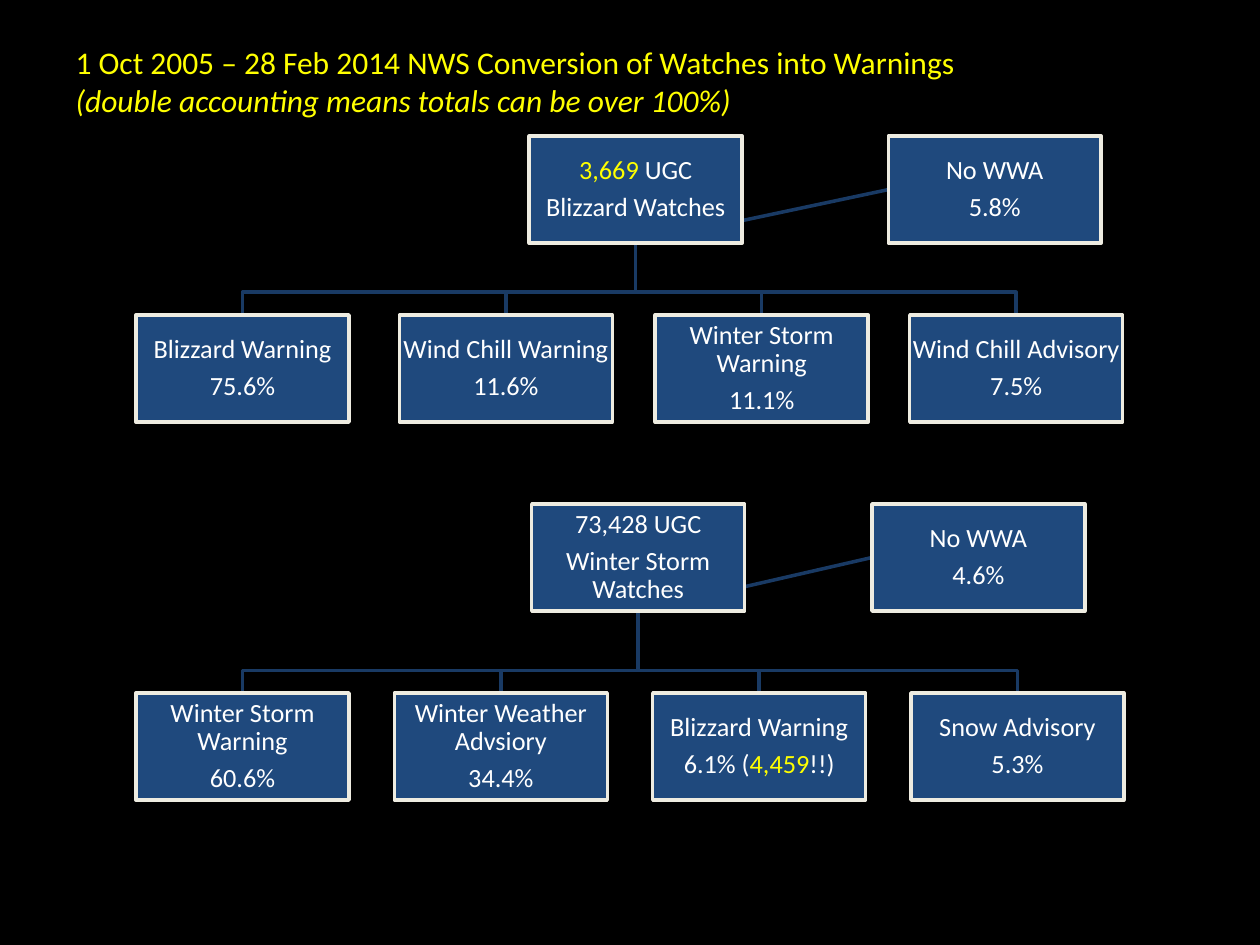
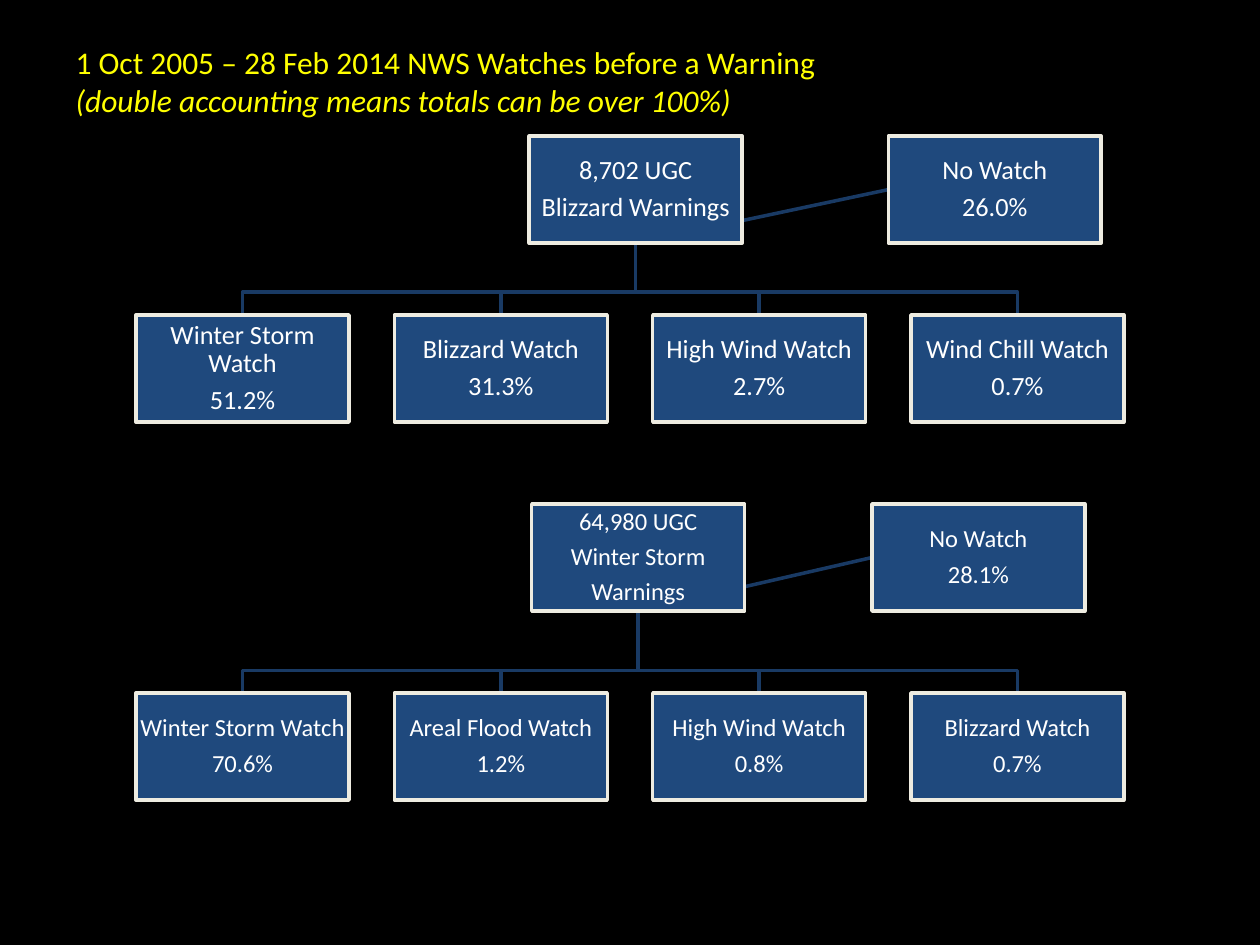
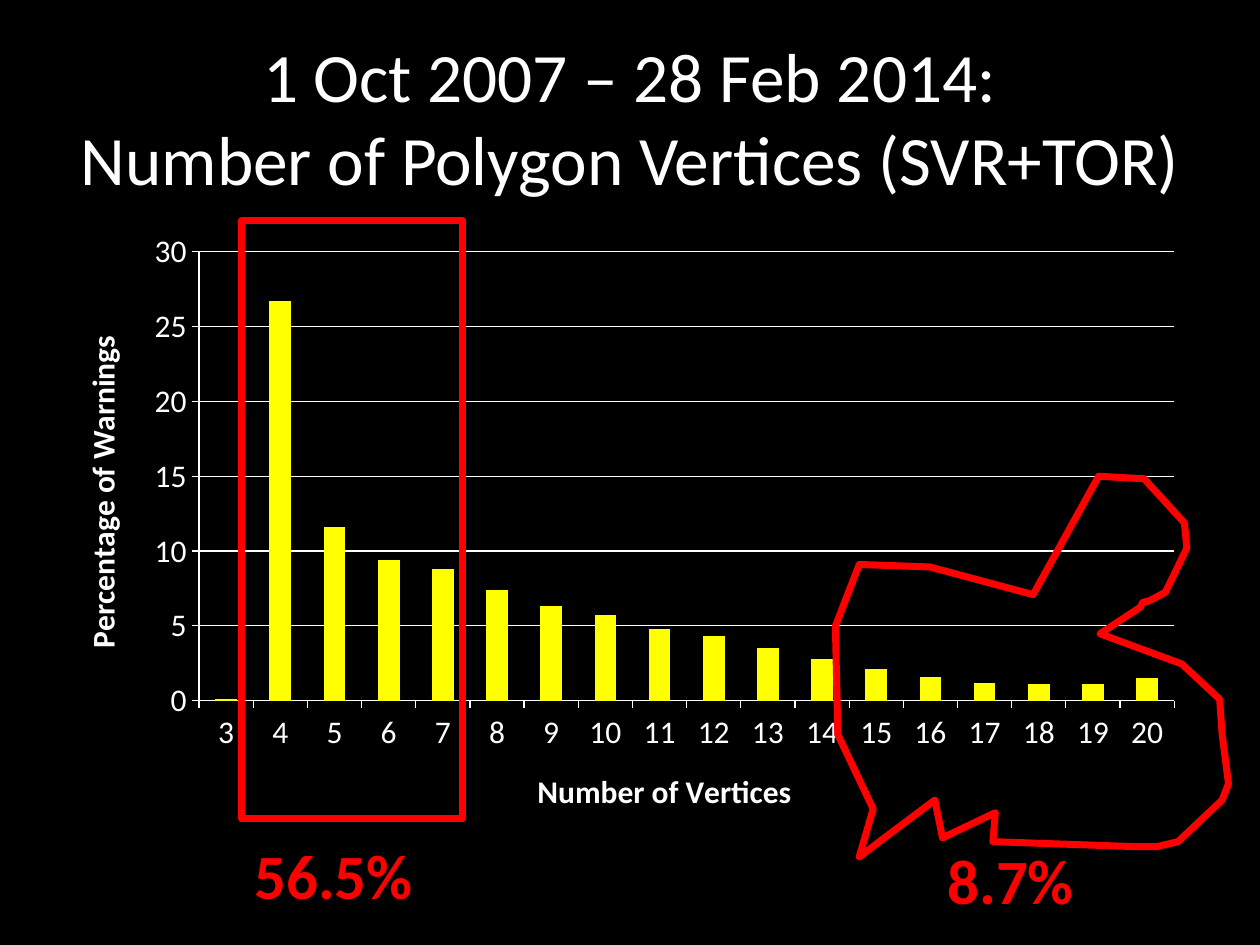
from dataclasses import dataclass

from lxml import etree
from pptx import Presentation
from pptx.chart.data import CategoryChartData
from pptx.dml.color import RGBColor
from pptx.enum.chart import XL_CHART_TYPE, XL_TICK_MARK
from pptx.enum.shapes import MSO_CONNECTOR, MSO_SHAPE
from pptx.enum.text import MSO_ANCHOR, MSO_AUTO_SIZE, PP_ALIGN
from pptx.oxml import parse_xml
from pptx.oxml.ns import nsdecls, qn
from pptx.util import Inches, Pt

COLUMNS = XL_CHART_TYPE.COLUMN_CLUSTERED
TICK_OUTSIDE = XL_TICK_MARK.OUTSIDE
STRAIGHT = MSO_CONNECTOR.STRAIGHT
RECTANGLE = MSO_SHAPE.RECTANGLE
TOP, MIDDLE = MSO_ANCHOR.TOP, MSO_ANCHOR.MIDDLE
LEFT, CENTER = PP_ALIGN.LEFT, PP_ALIGN.CENTER
NO_AUTOFIT = MSO_AUTO_SIZE.NONE


@dataclass(frozen=True)
class Theme:
    font: str = "Calibri"
    background: RGBColor = RGBColor(0, 0, 0)
    text: RGBColor = RGBColor(255, 255, 255)
    accent: RGBColor = RGBColor(255, 255, 0)
    box: RGBColor = RGBColor(0x1F, 0x49, 0x7D)
    border: RGBColor = RGBColor(0xEE, 0xEC, 0xE1)
    branch: RGBColor = RGBColor(0x19, 0x3A, 0x64)
    callout: RGBColor = RGBColor(255, 0, 0)
    title_size: float = 39.6
    heading_size: float = 18
    chart_size: float = 18
    callout_size: float = 36
    thin: float = 2
    thick: float = 4


THEME = Theme()


def write(frame, paragraphs, size, color=THEME.text, bold=False, align=LEFT,
          anchor=TOP, inset=None, line_spacing=None, space_after=0):
    """Fill a text frame; words between asterisks take the accent colour."""
    frame.word_wrap = True
    frame.auto_size = NO_AUTOFIT
    frame.vertical_anchor = anchor
    if inset is not None:
        frame.margin_left = frame.margin_right = Inches(inset)
        frame.margin_top = frame.margin_bottom = Inches(inset)
    for index, text in enumerate(paragraphs):
        paragraph = frame.add_paragraph() if index else frame.paragraphs[0]
        paragraph.alignment = align
        paragraph.line_spacing = line_spacing
        paragraph.space_after = Pt(space_after)
        for part, words in enumerate(text.split("*")):
            if words:
                run = paragraph.add_run()
                run.text = words
                run.font.name = THEME.font
                run.font.size = Pt(size)
                run.font.bold = bold
                run.font.color.rgb = THEME.accent if part % 2 else color


def outline(shape, color, width, fill=None):
    shape.shadow.inherit = False
    if fill is None:
        shape.fill.background()
    else:
        shape.fill.solid()
        shape.fill.fore_color.rgb = fill
    shape.line.color.rgb = color
    shape.line.width = Pt(width)


prs = Presentation()
prs.slide_width, prs.slide_height = Inches(10), Inches(7.5)
prs.slide_master.background.fill.solid()
prs.slide_master.background.fill.fore_color.rgb = THEME.background
title_only = prs.slide_layouts[5]

# Watch and warning trees: root and side boxes, then the row of outcomes
BOX_WIDTH, BOX_HEIGHT = 1.69, 0.85
BUS_RISE = 0.18
EVEN_ROW = [1.08 + 2.05 * i for i in range(4)]
UPPER = dict(root_left=4.2, side_left=7.05, top=1.08, row_top=2.5, size=15)
LOWER = dict(root_left=4.22, side_left=6.92, top=4, row_top=5.5, size=15)

tree_slides = [
    ("1 Oct 2005 – 28 Feb 2014 NWS Conversion of Watches into Warnings", [
        dict(UPPER, lefts=[1.08, 3.17, 5.2, 7.22],
             root=["*3,669* UGC", "Blizzard Watches"],
             side=["No WWA", "5.8%"],
             outcomes=[["Blizzard Warning", "75.6%"],
                       ["Wind Chill Warning", "11.6%"],
                       ["Winter Storm Warning", "11.1%"],
                       ["Wind Chill Advisory", "7.5%"]]),
        dict(LOWER, lefts=EVEN_ROW,
             root=["73,428 UGC", "Winter Storm Watches"],
             side=["No WWA", "4.6%"],
             outcomes=[["Winter Storm Warning", "60.6%"],
                       ["Winter Weather Advsiory", "34.4%"],
                       ["Blizzard Warning", "6.1% (*4,459*!!)"],
                       ["Snow Advisory", "5.3%"]]),
    ]),
    ("1 Oct 2005 – 28 Feb 2014 NWS Watches before a Warning", [
        dict(UPPER, lefts=EVEN_ROW,
             root=["8,702 UGC", "Blizzard Warnings"],
             side=["No Watch", "26.0%"],
             outcomes=[["Winter Storm Watch", "51.2%"],
                       ["Blizzard Watch", "31.3%"],
                       ["High Wind Watch", "2.7%"],
                       ["Wind Chill Watch", "0.7%"]]),
        dict(LOWER, lefts=EVEN_ROW, size=14,
             root=["64,980 UGC", "Winter Storm", "Warnings"],
             side=["No Watch", "28.1%"],
             outcomes=[["Winter Storm Watch", "70.6%"],
                       ["Areal Flood Watch", "1.2%"],
                       ["High Wind Watch", "0.8%"],
                       ["Blizzard Watch", "0.7%"]]),
    ]),
]

for heading, trees in tree_slides:
    slide = prs.slides.add_slide(title_only)
    title = slide.shapes.title
    title.left, title.top = Inches(0.5), Inches(0.29)
    title.width, title.height = Inches(9), Inches(0.71)
    write(title.text_frame,
          [heading, "(double accounting means totals can be over 100%)"],
          THEME.heading_size, color=THEME.accent)
    title.text_frame.paragraphs[1].runs[0].font.italic = True

    for tree in trees:
        trunk = Inches(tree["root_left"] + BOX_WIDTH / 2)
        root_bottom = Inches(tree["top"] + BOX_HEIGHT)
        row_top = Inches(tree["row_top"])
        bus = row_top - Inches(BUS_RISE)

        # Lines come first so that the boxes cover them
        side_link = slide.shapes.add_connector(
            STRAIGHT, trunk, root_bottom, Inches(tree["side_left"]), bus)
        side_link.line.color.rgb = THEME.branch
        side_link.line.width = Pt(THEME.thin)
        etree.SubElement(side_link._element.spPr, qn("a:effectLst"))
        for left in tree["lefts"]:
            middle = Inches(left + BOX_WIDTH / 2)
            path = slide.shapes.build_freeform(trunk, root_bottom)
            path.add_line_segments(
                [(trunk, bus), (middle, bus), (middle, row_top)], close=False)
            outline(path.convert_to_shape(), THEME.branch, THEME.thin)

        boxes = [(tree["root_left"], tree["top"], tree["root"]),
                 (tree["side_left"], tree["top"], tree["side"])]
        boxes += [(left, tree["row_top"], lines)
                  for left, lines in zip(tree["lefts"], tree["outcomes"])]
        drawn = []
        for left, top, lines in boxes:
            box = slide.shapes.add_shape(
                RECTANGLE, Inches(left), Inches(top),
                Inches(BOX_WIDTH), Inches(BOX_HEIGHT))
            outline(box, THEME.border, THEME.thin, fill=THEME.box)
            write(box.text_frame, lines, tree["size"], align=CENTER,
                  anchor=MIDDLE, inset=0.01, line_spacing=0.9,
                  space_after=0.35 * tree["size"])
            drawn.append(box)
        side_link.begin_connect(drawn[0], 2)
        side_link.end_connect(drawn[1], 1)

# Polygon vertices
slide = prs.slides.add_slide(title_only)
title = slide.shapes.title
title.left, title.top = Inches(0.25), Inches(0.3)
title.width, title.height = Inches(9.5), Inches(1.25)
write(title.text_frame,
      ["1 Oct 2007 – 28 Feb 2014:", "Number of Polygon Vertices (SVR+TOR)"],
      THEME.title_size, align=CENTER, anchor=MIDDLE)

vertex_shares = CategoryChartData()
vertex_shares.categories = [str(count) for count in range(3, 21)]
vertex_shares.add_series("Series 1", [
    0.1, 26.7, 11.6, 9.4, 8.8, 7.4, 6.3, 5.7, 4.8,
    4.3, 3.5, 2.8, 2.1, 1.6, 1.2, 1.1, 1.1, 1.5])
chart = slide.shapes.add_chart(
    COLUMNS, Inches(0.5), Inches(1.75), Inches(9), Inches(4.95),
    vertex_shares).chart
chart.has_legend = False
chart.has_title = False
chart.font.name = THEME.font
chart.font.size = Pt(THEME.chart_size)
chart.font.color.rgb = THEME.text

plot = chart.plots[0]
plot.gap_width = 150
plot.vary_by_categories = False
bars = plot.series[0].format.fill
bars.solid()
bars.fore_color.rgb = THEME.accent

for axis, name in ((chart.category_axis, "Number of Vertices"),
                   (chart.value_axis, "Percentage of Warnings")):
    axis.major_tick_mark = TICK_OUTSIDE
    axis.format.line.color.rgb = THEME.text
    axis.format.line.width = Pt(0.75)
    label = axis.axis_title.text_frame.paragraphs[0].add_run()
    label.text = name
    label.font.name = THEME.font
    label.font.size = Pt(THEME.chart_size)
    label.font.bold = True
    label.font.color.rgb = THEME.text
percent_axis = chart.value_axis
percent_axis.minimum_scale, percent_axis.maximum_scale = 0, 30
percent_axis.major_unit = 5
percent_axis.has_major_gridlines = True
percent_axis.major_gridlines.format.line.color.rgb = THEME.text
percent_axis.major_gridlines.format.line.width = Pt(0.75)

# Fix the inner plot area as fractions of the chart
plot_area = chart._chartSpace.chart.plotArea
for automatic in plot_area.findall(qn("c:layout")):
    plot_area.remove(automatic)
plot_area.insert(0, parse_xml(
    f'<c:layout {nsdecls("c")}><c:manualLayout><c:layoutTarget val="inner"/>'
    '<c:xMode val="edge"/><c:yMode val="edge"/><c:x val="0.12"/>'
    '<c:y val="0.05"/><c:w val="0.86"/><c:h val="0.72"/>'
    '</c:manualLayout></c:layout>'))

few_vertices = slide.shapes.add_shape(
    RECTANGLE, Inches(1.92), Inches(1.75), Inches(1.75), Inches(4.75))
outline(few_vertices, THEME.callout, THEME.thick)

many_vertices = [
    (6.93, 6.42), (6.65, 5.83), (6.63, 4.97), (6.82, 4.48), (7.38, 4.5),
    (8.2, 4.72), (8.72, 3.78), (9.08, 3.8), (9.4, 4.15), (9.42, 4.35),
    (9.25, 4.7), (9.12, 4.77), (9.07, 4.78), (9.05, 4.82), (8.73, 5.03),
    (9.38, 5.27), (9.68, 5.55), (9.7, 5.83), (9.75, 6.22), (9.7, 6.35),
    (9.35, 6.68), (9.18, 6.72), (9.02, 6.72), (7.88, 6.68), (7.9, 6.45),
    (7.48, 6.65), (7.42, 6.35), (6.82, 6.8)]
corners = [(Inches(x), Inches(y)) for x, y in many_vertices]
polygon = slide.shapes.build_freeform(*corners[0])
polygon.add_line_segments(corners[1:], close=True)
outline(polygon.convert_to_shape(), THEME.callout, THEME.thick)

for left, top, share in ((1.92, 6.59, "56.5%"), (7.42, 6.63, "8.7%")):
    callout = slide.shapes.add_textbox(
        Inches(left), Inches(top), Inches(1.58), Inches(0.71))
    write(callout.text_frame, [share], THEME.callout_size,
          color=THEME.callout, bold=True)

prs.save("out.pptx")
